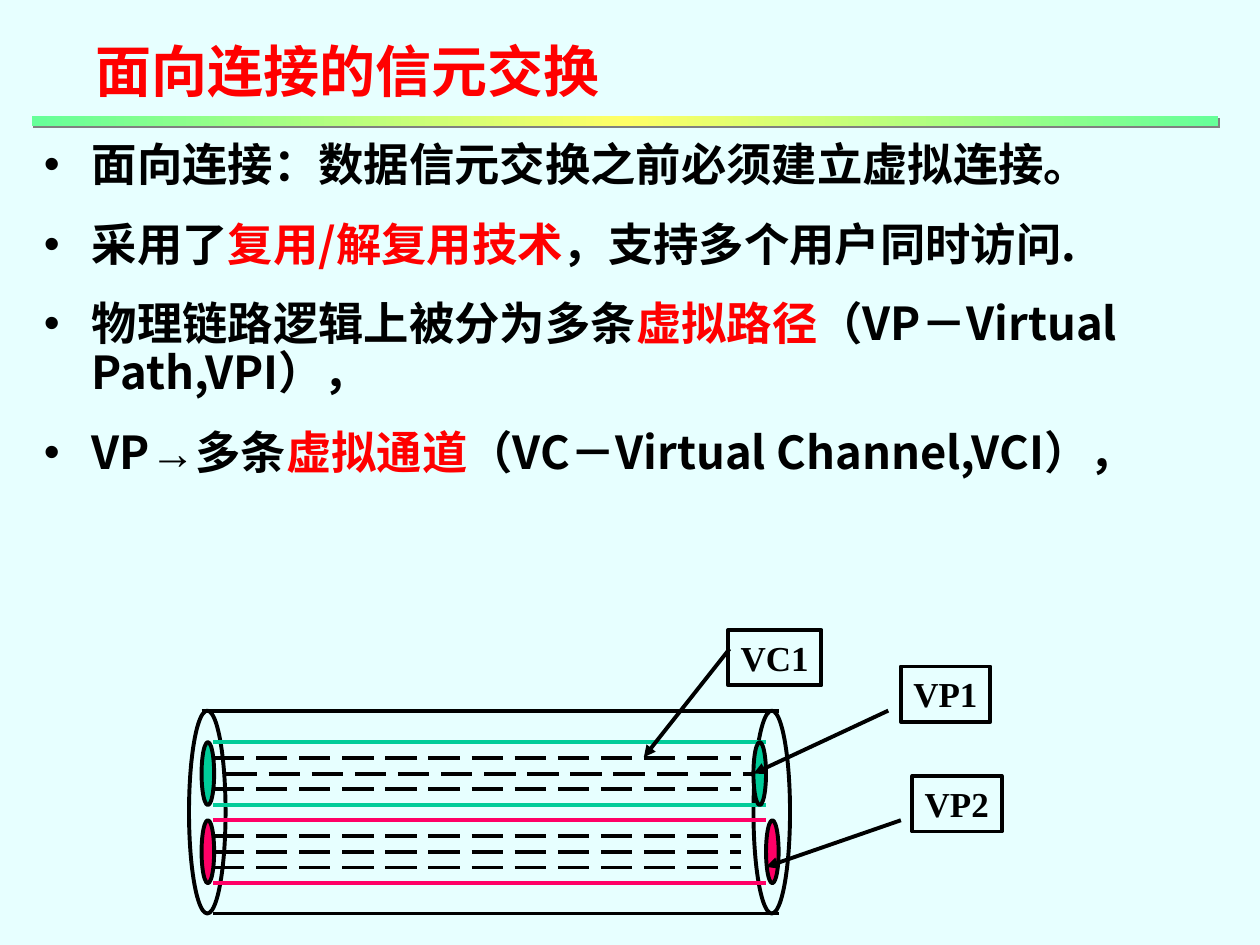
from copy import deepcopy

from lxml import etree
from pptx import Presentation
from pptx.dml.color import RGBColor
from pptx.enum import dml, shapes, text
from pptx.oxml import ns
from pptx.util import Inches, Pt

CJK, SERIF, ARIAL = "Noto Sans CJK SC", "Times New Roman", "Arial"
BLACK, RED, GREEN, PINK = "000000", "FF0000", "00CC99", "FF0066"

TITLE = "面向连接的信元交换"
# Each bullet is a list of (text, colour, font)
BULLETS = [
    [("面向连接：数据信元交换之前必须建立虚拟连接。", BLACK, CJK)],
    [("采用了", BLACK, CJK), ("复用/解复用技术", RED, CJK),
     ("，支持多个用户同时访问.", BLACK, CJK)],
    [("物理链路逻辑上被分为多条", BLACK, CJK), ("虚拟路径", RED, CJK),
     ("（VP－Virtual Path,VPI），", BLACK, CJK)],
    [("VP", BLACK, CJK), ("→", BLACK, ARIAL), ("多条", BLACK, CJK),
     ("虚拟通道", RED, CJK), ("（VC－Virtual Channel,VCI），", BLACK, CJK)],
]
# Virtual paths: top, colour, left of the right-hand end, shift of the middle channel
PATHS = [(5.89, GREEN, 5.98, 0.1), (6.51, PINK, 6.08, 0)]
PATH_H, CHANNELS = 0.5, 3
PIPE_TOP, PIPE_BOTTOM = 5.64, 7.25
# Labels: text, box (left, top, width), arrow start, arrow end
LABELS = [
    ("VP1", (7.15, 5.29, 0.71), (7.05, 5.64), (5.98, 6.14)),
    ("VC1", (5.78, 5, 0.74), (5.79, 5.15), (5.11, 6.01)),
    ("VP2", (7.24, 6.16, 0.71), (7.15, 6.51), (6.08, 6.88)),
]


def rgb(value):
    return RGBColor.from_string(value)


def add_xml(parent, tag, **attrs):
    return etree.SubElement(parent, ns.qn(tag), attrs)


def style_run(r, size, font, color):
    r.font.size, r.font.bold, r.font.name = Pt(size), True, font
    r.font.color.rgb = rgb(color)
    ea = add_xml(r.font._element, "a:ea", typeface=font)
    r.font._element.find(ns.qn("a:latin")).addnext(ea)


def add_line(group, start, end, color=BLACK, dashed=False, arrow=False):
    c = group.shapes.add_connector(shapes.MSO_CONNECTOR.STRAIGHT,
                                   *map(Inches, start + end))
    c.line.color.rgb, c.line.width = rgb(color), Pt(2.25)
    if dashed:
        c.line.dash_style = dml.MSO_LINE.LONG_DASH
    if arrow:
        add_xml(c.line._get_or_add_ln(), "a:tailEnd", type="triangle")
    add_xml(c._element.spPr, "a:effectLst")


def add_outlined(group, kind, box, fill=None):
    sp = group.shapes.add_shape(kind, *map(Inches, box))
    sp.shadow.inherit = False
    if fill:
        sp.fill.solid()
        sp.fill.fore_color.rgb = rgb(fill)
    else:
        sp.fill.background()
    sp.line.color.rgb, sp.line.width = rgb(BLACK), Pt(2.25)
    return sp


prs = Presentation()
prs.slide_width, prs.slide_height = Inches(10), Inches(7.5)
s = prs.slides.add_slide(prs.slide_layouts[6])
s.background.fill.solid()
s.background.fill.fore_color.rgb = rgb("E7FFFF")

# Bulleted text
tf = s.shapes.add_textbox(*map(Inches, (0.25, 1.08, 9.58, 3.42))).text_frame
tf.word_wrap = True
for i, runs in enumerate(BULLETS):
    p = tf.paragraphs[0] if i == 0 else tf.add_paragraph()
    p.line_spacing = 0.9
    if i:
        p.space_before = Pt(17.5)
    pPr = p._p.get_or_add_pPr()
    pPr.set("marL", str(Inches(0.38)))
    pPr.set("indent", str(-Inches(0.38)))
    add_xml(add_xml(pPr, "a:buClr"), "a:srgbClr", val=BLACK)
    add_xml(pPr, "a:buFont", typeface=ARIAL)
    add_xml(pPr, "a:buChar", char="•")
    for content, color, font in runs:
        r = p.add_run()
        r.text = content
        style_run(r, 25.9, font, color)

# Physical link
link = s.shapes.add_group_shape()
OVAL, RECT = shapes.MSO_SHAPE.OVAL, shapes.MSO_SHAPE.RECTANGLE
add_line(link, (1.6, PIPE_TOP), (6.18, PIPE_TOP))
add_line(link, (1.69, PIPE_BOTTOM), (6.18, PIPE_BOTTOM))
for x in (1.5, 5.98):
    add_outlined(link, OVAL, (x, PIPE_TOP, 0.29, PIPE_BOTTOM - PIPE_TOP))

# Virtual paths with their channels
for top, color, right_end, shift in PATHS:
    for y in (top, top + PATH_H):
        add_line(link, (1.69, y), (6.08, y), color)
    for x in (1.6, right_end):
        add_outlined(link, OVAL, (x, top, 0.1, PATH_H), color)
    for n in range(1, CHANNELS + 1):
        y = top + n * PATH_H / (CHANNELS + 1)
        dx = shift if n == 2 else 0
        add_line(link, (1.69 + dx, y), (5.88 + dx, y), dashed=True)

# Labels and their arrows
for name, (left, top, width), start, end in LABELS:
    add_line(link, start, end, arrow=True)
    tf = add_outlined(link, RECT, (left, top, width, 0.44)).text_frame
    tf.text = name
    tf.word_wrap = False
    tf.vertical_anchor = text.MSO_ANCHOR.TOP
    tf.paragraphs[0].alignment = text.PP_ALIGN.LEFT
    style_run(tf.paragraphs[0].runs[0], 20, SERIF, BLACK)

# Gradient rule with a hard shadow
bar = s.shapes.add_shape(RECT, *map(Inches, (0.25, 0.92, 9.42, 0.08)))
bar.line.fill.background()
bar.fill.gradient()
bar.fill.gradient_angle = 0
stops = bar.fill.gradient_stops
for stop, color, position in zip(stops, ("66FF99", "FFFF66"), (0, 0.5)):
    stop.color.rgb, stop.position = rgb(color), position
gs_list = bar._element.spPr.find(".//" + ns.qn("a:gsLst"))
last = deepcopy(gs_list[0])
last.set("pos", "100000")
gs_list.append(last)
shadow = add_xml(add_xml(bar._element.spPr, "a:effectLst"), "a:outerShdw",
                 blurRad="0", dist=str(Pt(1.4)), dir="2700000", algn="ctr")
add_xml(shadow, "a:srgbClr", val="808080")

# Title, with room for all nine characters on one line
tf = s.shapes.add_textbox(*map(Inches, (0.66, 0.24, 4.4, 0.64))).text_frame
tf.text = TITLE
tf.word_wrap = True
style_run(tf.paragraphs[0].runs[0], 32, CJK, RED)

prs.save("out.pptx")
